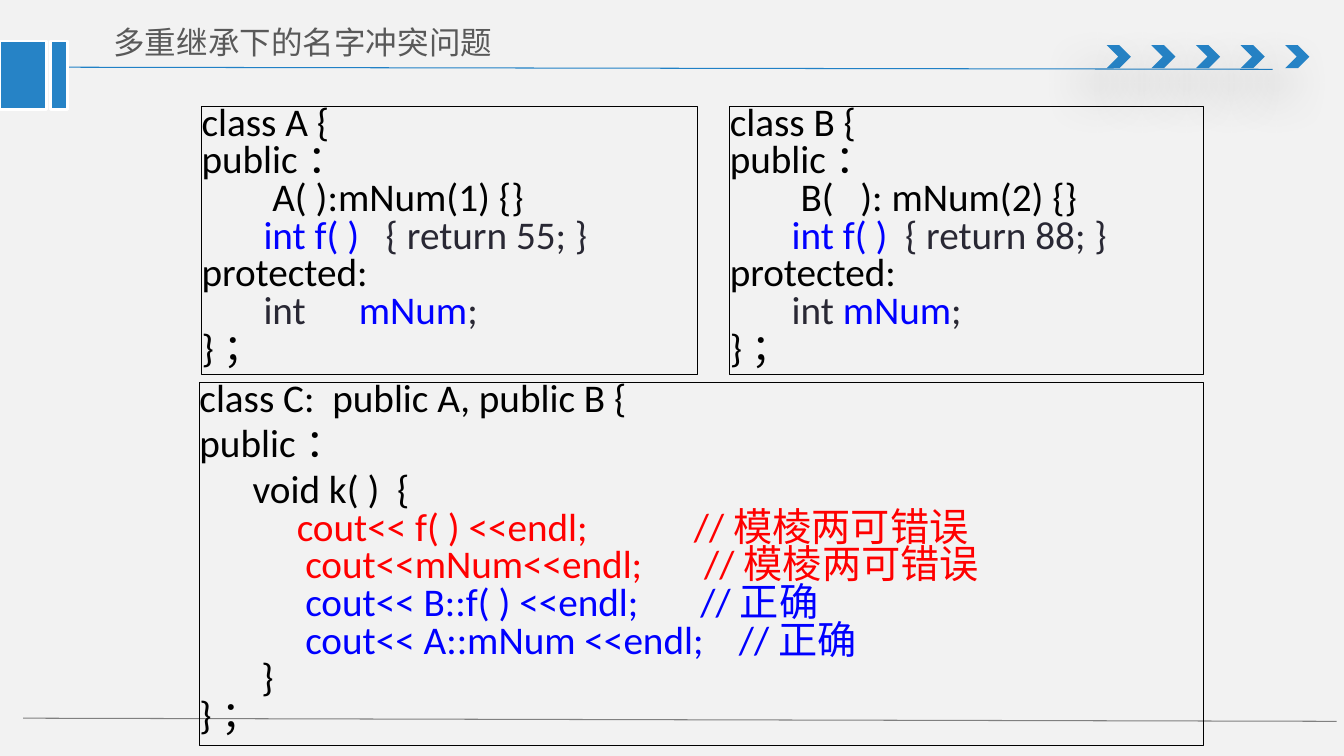
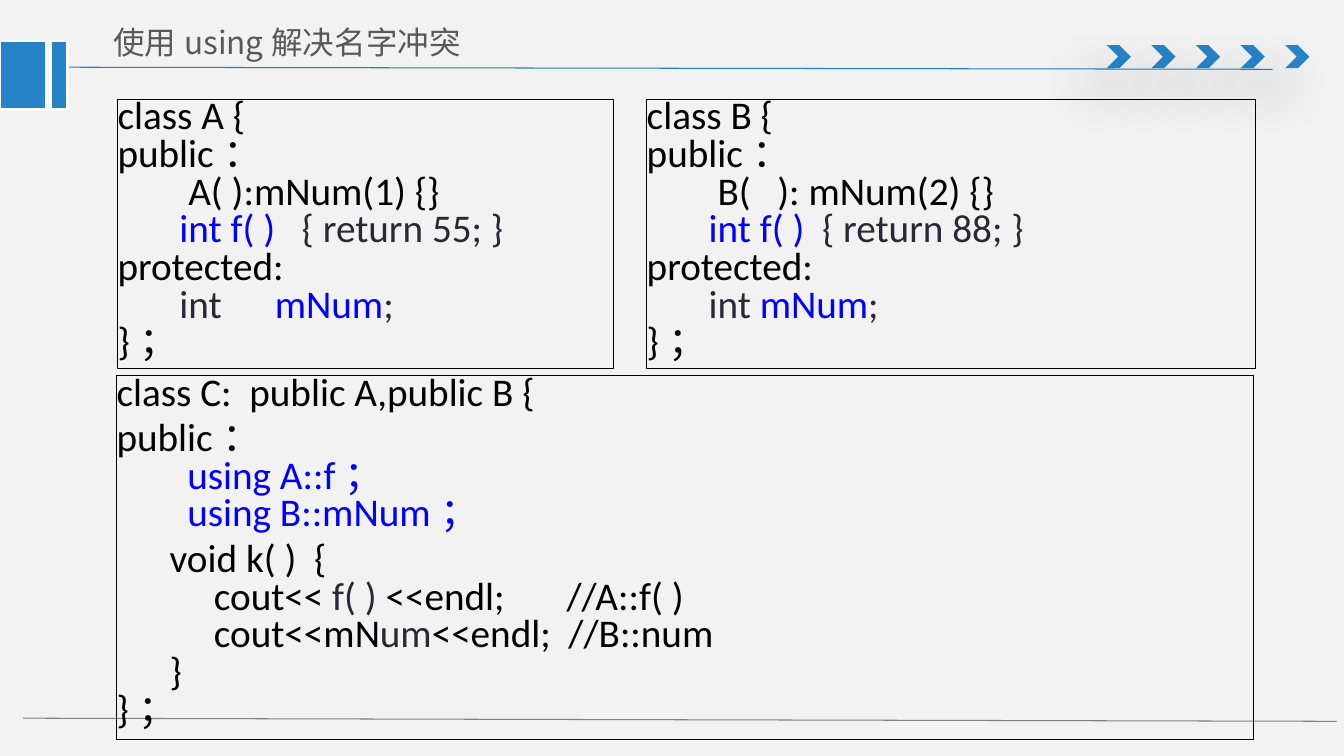
from pptx import Presentation
from pptx.dml.color import RGBColor
from pptx.enum.shapes import MSO_CONNECTOR, MSO_SHAPE
from pptx.enum.text import MSO_ANCHOR
from pptx.oxml.ns import qn
from pptx.util import Emu, Pt
from lxml.etree import SubElement

EMU_PER_PX = 9525
BACKGROUND = RGBColor(0xF2, 0xF2, 0xF2)
ACCENT = RGBColor(0x26, 0x83, 0xC6)
HEADER_RULE = RGBColor(0x21, 0x81, 0xC6)
FOOTER_RULE = RGBColor(0x80, 0x80, 0x80)
TITLE_GREY = RGBColor(0x59, 0x59, 0x59)
WHITE = RGBColor(0xFF, 0xFF, 0xFF)
BLACK = RGBColor(0x00, 0x00, 0x00)
INK = RGBColor(0x29, 0x28, 0x34)
BLUE = RGBColor(0x00, 0x00, 0xFF)
RED = RGBColor(0xFF, 0x00, 0x00)
CODE_FONT = "Calibri"
CJK_FONT = "Noto Sans CJK SC"


def px(length):
    return Emu(round(length * EMU_PER_PX))


def add_run(paragraph, text, color, size, font):
    run = paragraph.add_run()
    run.text = text
    run.font.size = Pt(size)
    run.font.name = font
    run.font.color.rgb = color
    SubElement(run.font._element, qn("a:ea")).set("typeface", CJK_FONT)


def add_text(slide, box, paragraphs, size, font, anchor=MSO_ANCHOR.TOP,
             inset=(0, 0), line_spacing=1.0, space_before=0, outline=None):
    textbox = slide.shapes.add_textbox(*map(px, box))
    if outline is not None:
        textbox.line.color.rgb = outline
        textbox.line.width = Pt(0.75)
    frame = textbox.text_frame
    frame.word_wrap = True
    frame.vertical_anchor = anchor
    frame.margin_left = frame.margin_right = px(inset[0])
    frame.margin_top = frame.margin_bottom = px(inset[1])
    for index, runs in enumerate(paragraphs):
        paragraph = frame.add_paragraph() if index else frame.paragraphs[0]
        paragraph.line_spacing = line_spacing
        paragraph.space_before = Pt(space_before if index else 0)
        for text, color in runs:
            for number, line in enumerate(text.split("\n")):
                if number:
                    paragraph.add_line_break()
                if line:
                    add_run(paragraph, line, color, size, font)


def add_rule(slide, start, end, color):
    rule = slide.shapes.add_connector(MSO_CONNECTOR.STRAIGHT, *map(px, start + end))
    rule.line.color.rgb = color
    rule.line.width = Pt(0.75)
    SubElement(rule._element.spPr, qn("a:effectLst"))


def add_block(slide, preset, box, border=None):
    block = slide.shapes.add_shape(preset, *map(px, box))
    block.fill.solid()
    block.fill.fore_color.rgb = ACCENT
    if border is None:
        block.line.fill.background()
    else:
        block.line.color.rgb = border
        block.line.width = Pt(2)
    block.shadow.inherit = False
    return block


def add_soft_shadow(block):
    effects = block._element.spPr.find(qn("a:effectLst"))
    shadow = SubElement(effects, qn("a:outerShdw"), blurRad=str(Pt(36)),
                        dist=str(Pt(24)), dir=str(130 * 60000), rotWithShape="0")
    color = SubElement(shadow, qn("a:srgbClr"), val=str(BLACK))
    SubElement(color, qn("a:alpha"), val="38000")


def add_frame(presentation, title):
    slide = presentation.slides.add_slide(presentation.slide_layouts[6])
    slide.background.fill.solid()
    slide.background.fill.fore_color.rgb = BACKGROUND
    add_rule(slide, (51, 64), (1212, 66), HEADER_RULE)
    for index in range(5):
        chevron = add_block(slide, MSO_SHAPE.CHEVRON, (1054 + 42.5 * index, 43, 23, 22))
        add_soft_shadow(chevron)
    add_rule(slide, (22, 684), (1273, 687), FOOTER_RULE)
    for left, width in ((0, 44), (48, 16)):
        add_block(slide, MSO_SHAPE.RECTANGLE, (left, 39, width, 65), border=WHITE)
    add_text(slide, (95, 13, 444, 53), [[(title, TITLE_GREY)]], size=22.5,
             font=CJK_FONT, anchor=MSO_ANCHOR.MIDDLE, inset=(13, 7))
    return slide


def add_code(slide, box, paragraphs):
    add_text(slide, box, paragraphs, size=28, font=CODE_FONT, line_spacing=0.8,
             space_before=5.6, outline=BLACK)


def base_class(name, constructor, body, member_type):
    return [[
        (f"class {name} {{\npublic：\n       {constructor}\n       ", BLACK),
        ("int f( )", BLUE),
        (f"{body}\n", INK),
        ("protected:\n       ", BLACK),
        (member_type, INK),
        ("mNum", BLUE),
        (";\n", INK),
        ("}；", BLACK),
    ]]


CLASS_A = base_class("A", "A( ):mNum(1) {}", "   { return 55; }", "int      ")
CLASS_B = base_class("B", "B(   ): mNum(2) {}", "  { return 88; }", "int ")

AMBIGUOUS_C = [
    [("class C:  public A, public B {", BLACK)],
    [("public：", BLACK)],
    [
        ("      void k( )  {\n           ", BLACK),
        ("cout<< f( ) <<endl;            //模棱两可错误\n"
         "           cout<<mNum<<endl;       //模棱两可错误\n           ", RED),
        ("cout<< B::f( ) <<endl;       //正确\n"
         "           cout<< A::mNum <<endl;    //正确\n      ", BLUE),
        (" }\n}；", BLACK),
    ],
]
AMBIGUOUS_C[2][3] = ("}\n}；", BLACK)

RESOLVED_C = [
    [("class C:  public A,public B {", BLACK)],
    [
        ("public：\n", BLACK),
        ("       using A::f；\n       using B::mNum；", BLUE),
    ],
    [
        ("      void k( )  {\n           cout<< ", BLACK),
        ("f( ) ", INK),
        ("<<endl;       //A::f( )\n           cout<<mN", BLACK),
        ("um", INK),
        ("<<endl;  //B::num\n      }\n}；", BLACK),
    ],
]


def add_class_slide(presentation, title, top, span_a, span_b, span_c, class_c):
    slide = add_frame(presentation, title)
    for (left, width), offset, height, code in (
        (span_a, 0, 256, CLASS_A),
        (span_b, 0, 256, CLASS_B),
        (span_c, 263, 346, class_c),
    ):
        add_code(slide, (left, top + offset, width, height), code)


def main():
    presentation = Presentation()
    presentation.slide_width = px(1280)
    presentation.slide_height = px(720)
    add_class_slide(presentation, "多重继承下的名字冲突问题", 101,
                    (192, 472), (695, 451), (190, 956), AMBIGUOUS_C)
    add_class_slide(presentation, "使用using解决名字冲突", 95,
                    (112, 472), (616, 580), (111, 1083), RESOLVED_C)
    presentation.save("out.pptx")


if __name__ == "__main__":
    main()
